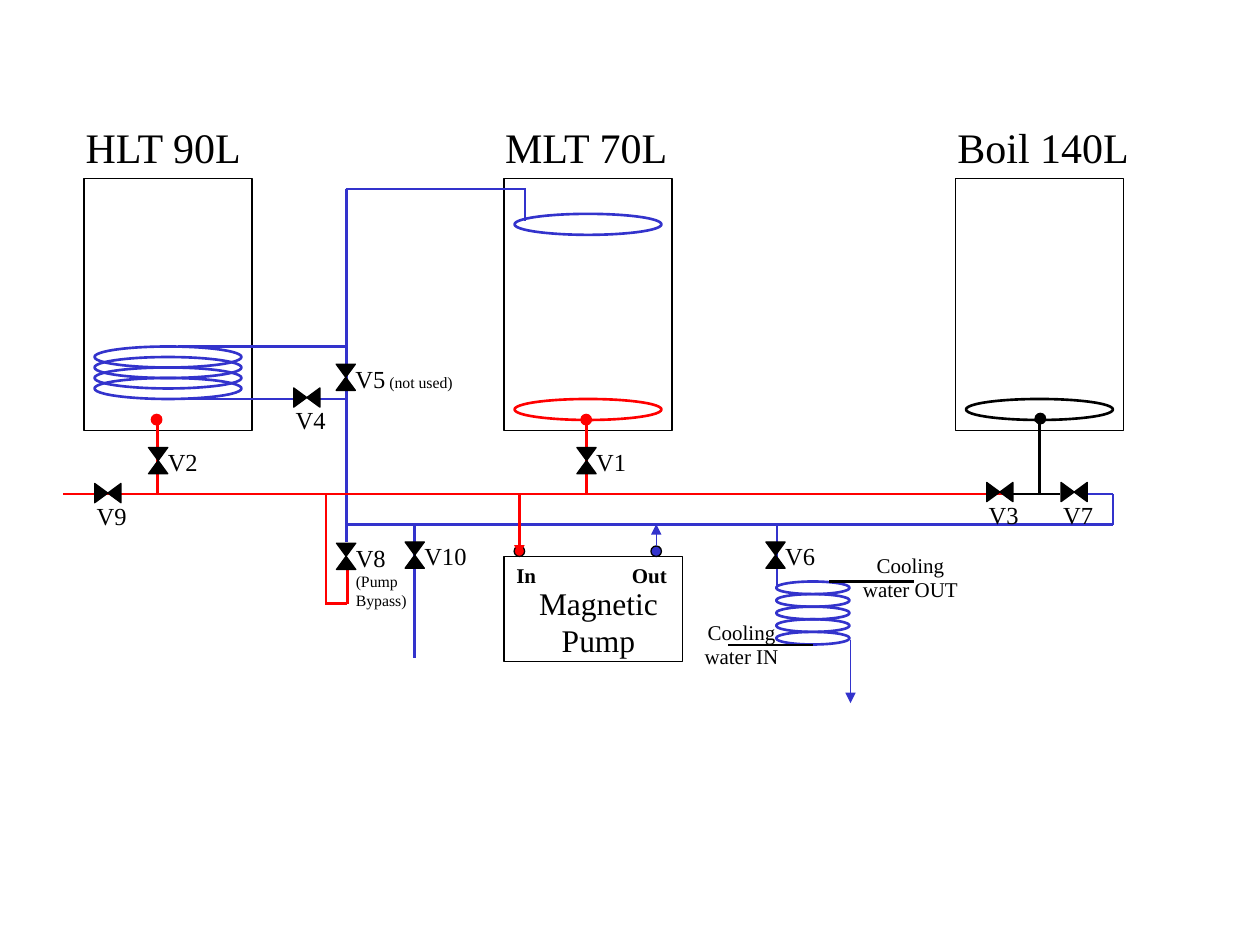
from lxml import etree
from pptx import Presentation
from pptx import util as u
from pptx.dml.color import RGBColor
from pptx.enum import shapes, text
from pptx.oxml.ns import qn

BLUE, RED, BLACK = "3333CC", "FF0000", "000000"
FONT = "Times New Roman"
MAIN_Y, RETURN_Y, RISER_X = 282.2, 299.8, 198  # red main, blue return, blue riser

# Tanks: name, left, label left
TANK_TOP, TANK_W, TANK_H = 102, 96, 144
tanks = [("HLT 90L", 48, 41.8), ("MLT 70L", 288, 281.5), ("Boil 140L", 546, 540)]

# Rings: left, top, width, height, number, pitch, colour
rings = [
    (54, 198, 84, 12, 4, 6, BLUE),
    (294, 122.2, 84, 12, 1, 0, BLUE),
    (294, 228, 84, 12, 1, 0, RED),
    (552, 228, 84, 12, 1, 0, BLACK),
    (443.5, 332.3, 42, 7.2, 5, 7.2, BLUE),
]

# Ports: centre x, centre y, fill, outline
ports = [
    (89.5, 239.8, RED, RED),
    (335, 239.8, RED, RED),
    (594.5, 239.2, BLACK, BLACK),
    (296.8, 315, RED, BLACK),
    (375, 315, BLUE, BLACK),
]

# Pipes: from x, from y, to x, to y, colour
pipes = [
    (102, 198, RISER_X, 198, BLUE),
    (108, 228, 168, 228, BLUE),
    (180, 228, RISER_X, 228, BLUE),
    (RISER_X, 309.6, RISER_X, 108, BLUE),
    (197.5, 108, 300.5, 108, BLUE),
    (300, 108, 300, 126, BLUE),
    (90, 240, 90, MAIN_Y, RED),
    (335.3, 240, 335.3, MAIN_Y, RED),
    (594, 240, 594, MAIN_Y, BLACK),
    (36, MAIN_Y, 594, MAIN_Y, RED),
    (576, MAIN_Y, 606, MAIN_Y, BLACK),
    (618, MAIN_Y, 636, MAIN_Y, BLUE),
    (636, MAIN_Y, 636, 300, BLUE),
    (197.5, RETURN_Y, 636, RETURN_Y, BLUE),
    (444, 300, 444, 336, BLUE),
    (237, 300, 237, 375.8, BLUE),
    (474, 332.4, 522, 332.4, BLACK),
    (416.2, 368.6, 464.4, 368.6, BLACK),
    (198.4, 325.4, 198.4, 345, RED),
    (198.4, 345, 186, 345, RED),
    (186.4, MAIN_Y, 186.4, 345.6, RED),
]
# Flow arrows: the same fields, then line width
flows = [
    (296.8, 281.8, 296.8, 317.5, RED, 1.5),
    (375, 311.8, 375, 299.5, BLUE, 0.75),
    (486, 365.8, 486, 401.8, BLUE, 0.75),
]

# Valves: label runs by paragraph, centre x, centre y, horizontal, label width, label height
valves = [
    ([[("V5", 14), (" (not used)", 9)]], 197.6, 215.6, False, 80, 24.5),
    ([[("V2", 14)]], 90.4, 263.2, False, 42, 24.5),
    ([[("V1", 14)]], 335.2, 263.2, False, 42, 24.5),
    ([[("V3", 14)]], 571.3, 281.2, True, 42, 24.5),
    ([[("V4", 14)]], 175.3, 227.2, True, 42, 24.5),
    ([[("V6", 14)]], 443.2, 317.2, False, 42, 24.5),
    ([[("V7", 14)]], 613.8, 281.2, True, 42, 24.5),
    ([[("V9", 14)]], 61.6, 281.8, True, 42, 24.5),
    ([[("V8", 14)], [("(Pump Bypass)", 9)]], 197.8, 317.9, False, 46, 46),
    ([[("V10", 14)]], 237, 317.2, False, 42, 24.5),
]

# Other labels: text, left, top, width, height, size, bold, centred, line spacing
labels = [
    ("Magnetic Pump", 300, 330, 84, 50.4, 18, False, True, 1),
    ("In", 288, 318, 30, 21.6, 12, True, False, 1),
    ("Out", 354, 318, 36, 21.6, 12, True, False, 1),
    ("Cooling water OUT", 481, 313.2, 78.5, 34.6, 12, False, True, 0.95),
    ("Cooling water IN", 384.5, 351.4, 78.5, 34.6, 12, False, True, 0.95),
]


def color(hex_value):
    return RGBColor.from_string(hex_value)


def add_part(parent, kind, left, top, width, height, line, line_width=0.75, fill=None):
    part = parent.shapes.add_shape(kind, *map(u.Pt, (left, top, width, height)))
    part.shadow.inherit = False
    if fill:
        part.fill.solid()
        part.fill.fore_color.rgb = color(fill)
    else:
        part.fill.background()
    part.line.color.rgb = color(line)
    part.line.width = u.Pt(line_width)
    return part


def add_pipe(x1, y1, x2, y2, line, width=1.5, arrow=False):
    pipe = slide.shapes.add_connector(
        shapes.MSO_CONNECTOR.STRAIGHT, *map(u.Pt, (x1, y1, x2, y2)))
    pipe.line.color.rgb = color(line)
    pipe.line.width = u.Pt(width)
    if arrow:
        etree.SubElement(pipe.line._get_or_add_ln(), qn("a:tailEnd"), type="triangle")
    etree.SubElement(pipe._element.spPr, qn("a:effectLst"))


def add_label(parent, paragraphs, left, top, width, height,
              bold=False, centred=False, spacing=1):
    frame = parent.shapes.add_textbox(*map(u.Pt, (left, top, width, height))).text_frame
    frame.word_wrap = True
    for index, runs in enumerate(paragraphs):
        paragraph = frame.add_paragraph() if index else frame.paragraphs[0]
        paragraph.alignment = text.PP_ALIGN.CENTER if centred else text.PP_ALIGN.LEFT
        paragraph.line_spacing = spacing
        for words, size in runs:
            run = paragraph.add_run()
            run.text = words
            run.font.name = FONT
            run.font.size = u.Pt(size)
            run.font.bold = bold
            run.font.color.rgb = color(BLACK)


prs = Presentation()
prs.slide_width, prs.slide_height = u.Pt(720), u.Pt(540)
slide = prs.slides.add_slide(prs.slide_layouts[6])
kinds = shapes.MSO_SHAPE

# Tanks and pump
for name, left, label_left in tanks:
    add_part(slide, kinds.RECTANGLE, left, TANK_TOP, TANK_W, TANK_H, BLACK)
    add_label(slide, [[(name, 24)]], label_left, 66, 126, 36)
add_part(slide, kinds.RECTANGLE, 288, 318, 102, 60, BLACK)

# Coils and rings
for left, top, width, height, count, pitch, line in rings:
    for turn in range(count):
        add_part(slide, kinds.OVAL, left, top + turn * pitch, width, height, line, 1.5)

# Ports, pipes and flow arrows
for x, y, fill, line in ports:
    add_part(slide, kinds.OVAL, x - 3, y - 3, 6, 6, line, fill=fill)
for pipe in pipes:
    add_pipe(*pipe)
for flow in flows:
    add_pipe(*flow, arrow=True)

# Valves, each grouped with its label
for paragraphs, x, y, horizontal, width, height in valves:
    valve = slide.shapes.add_group_shape()
    symbol = add_part(valve, kinds.FLOWCHART_COLLATE, x - 5.5, y - 7.5, 11, 15,
                      BLACK, fill=BLACK)
    symbol.rotation = 90 if horizontal else 0
    dx, dy = (-13.4, 1) if horizontal else (-1.6, -11.4)
    add_label(valve, paragraphs, x + dx, y + dy, width, height)

# Pump and cooling labels
for words, left, top, width, height, size, bold, centred, spacing in labels:
    add_label(slide, [[(words, size)]], left, top, width, height, bold, centred, spacing)

prs.save("out.pptx")
